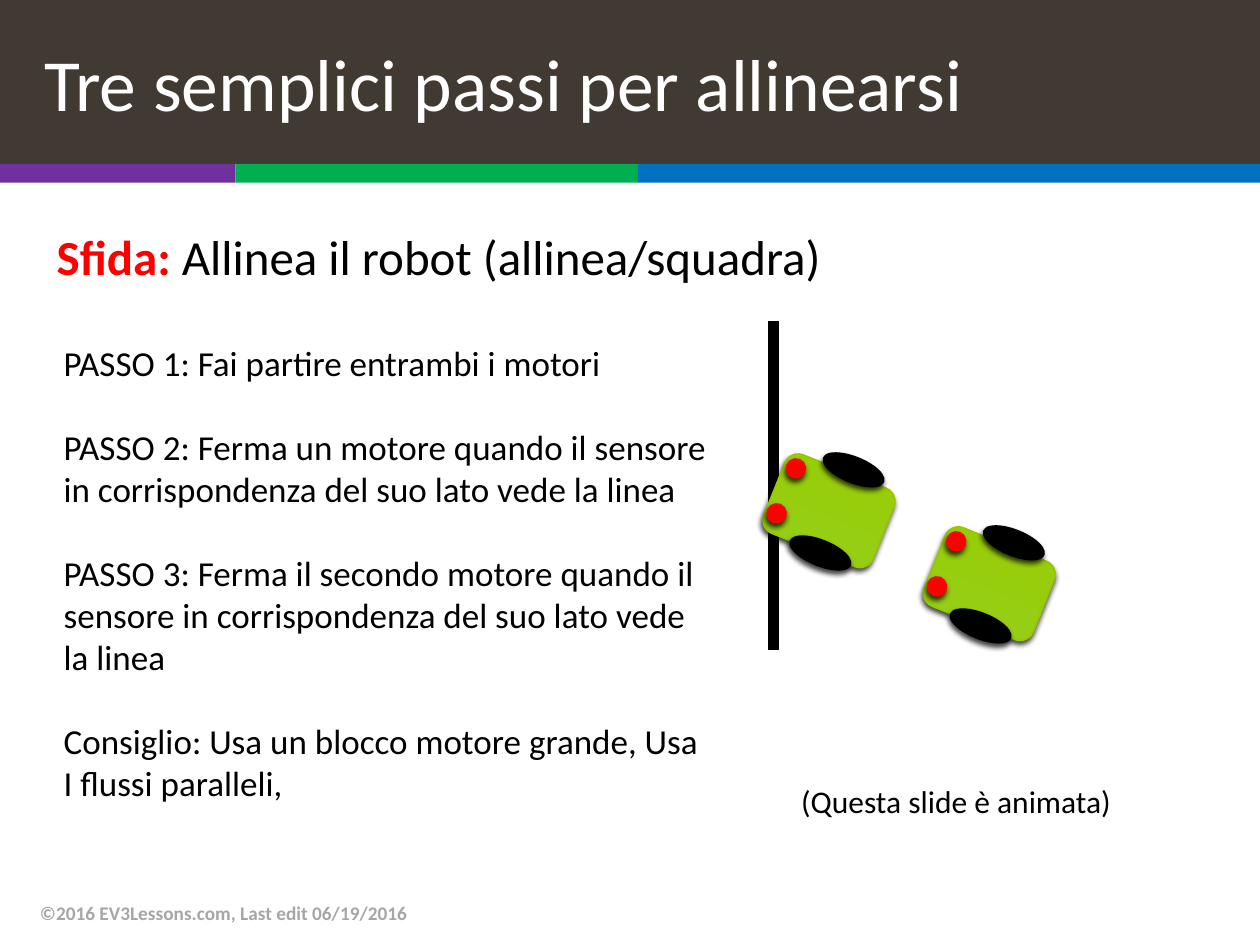
"""Build the slide on three easy steps for lining up a robot."""
from dataclasses import dataclass
from itertools import pairwise

from lxml.etree import SubElement as Sub
from pptx import Presentation
from pptx.dml.color import RGBColor as Rgb
from pptx.enum.shapes import MSO_CONNECTOR as Link, MSO_SHAPE as Form
from pptx.enum.text import MSO_ANCHOR as Anchor, MSO_AUTO_SIZE as Fit, PP_ALIGN as Align
from pptx.oxml.ns import qn
from pptx.util import Pt


@dataclass(frozen=True)
class Theme:
    font: str = "Calibri"
    dark: str = "413A33"
    white: str = "FFFFFF"
    black: str = "000000"
    red: str = "FF0000"
    gray: str = "A6A6A6"
    lime: str = "99CC00"
    leaf: str = "93CF1E"
    edge: str = "96C800"
    bands: tuple[str, ...] = ("7030A0", "00B050", "0070C0")
    title: int = 42
    lead: int = 28
    step: int = 20
    note: int = 18
    foot: int = 11


@dataclass(frozen=True)
class Box:
    left: float
    top: float
    width: float
    height: float

    def shift(self, x: float, y: float) -> "Box":
        return Box(self.left + x, self.top + y, self.width, self.height)

    def points(self) -> list[Pt]:
        return [Pt(n) for n in (self.left, self.top, self.width, self.height)]


@dataclass(frozen=True)
class Part:
    form: Form
    box: Box
    fill: str
    line: str
    fade: str | None = None


THEME = Theme()
TILT = 21.9
WHEEL = Box(0, 0, 36.7, 14.4)
SENSOR = Box(0, 0, 10.8, 10.8)
ROBOT = (
    Part(Form.ROUNDED_RECTANGLE, Box(1.8, 6.5, 67, 48.2), THEME.lime, THEME.edge, THEME.leaf),
    Part(Form.OVAL, WHEEL.shift(31, 0), THEME.black, THEME.black),
    Part(Form.OVAL, WHEEL.shift(12, 47.5), THEME.black, THEME.black),
    Part(Form.OVAL, SENSOR.shift(11, 1), THEME.red, THEME.red),
    Part(Form.OVAL, SENSOR.shift(0, 26.7), THEME.red, THEME.red),
)
STARTS = ((530, 303), (438.4, 261.3))
STEPS = (
    "PASSO 1: Fai partire entrambi i motori",
    "PASSO 2: Ferma un motore quando il sensore in corrispondenza del suo lato vede la linea",
    "PASSO 3: Ferma il secondo motore quando il sensore in corrispondenza del suo lato vede la linea",
    "Consiglio: Usa un blocco motore grande, Usa I flussi paralleli,",
)


def place(shape, box: Box) -> None:
    shape.left, shape.top, shape.width, shape.height = box.points()


def write(par, text: str, *, size: int, color: str = THEME.black, bold: bool = False) -> None:
    run = par.add_run()
    run.text = text
    font = run.font
    font.name, font.size, font.bold = THEME.font, Pt(size), bold
    font.color.rgb = Rgb.from_string(color)


def frame(shape, anchor: Anchor = Anchor.TOP):
    text = shape.text_frame
    text.word_wrap, text.auto_size = True, Fit.NONE
    text.vertical_anchor = anchor
    return text


def note(slide, box: Box, lines: tuple[str, ...], anchor: Anchor = Anchor.TOP, gap: float = 0, **style) -> None:
    text = frame(slide.shapes.add_textbox(*box.points()), anchor)
    for i, line in enumerate(lines):
        par = text.add_paragraph() if i else text.paragraphs[0]
        par.space_before = Pt(gap if i else 0)
        write(par, line, **style)


def paint(shape, color: str) -> None:
    shape.fill.solid()
    shape.fill.fore_color.rgb = Rgb.from_string(color)


def shade(shape) -> None:
    shape.shadow.inherit = False
    effects = shape._element.spPr.find(qn("a:effectLst"))
    outer = Sub(effects, qn("a:outerShdw"), blurRad=str(Pt(3)), dist=str(Pt(2)),
                dir=str(110 * 60000), algn="ctr", rotWithShape="0")
    color = Sub(outer, qn("a:srgbClr"), val=THEME.black)
    Sub(color, qn("a:alpha"), val="75000")


def robot(slide, x: float, y: float) -> None:
    group = slide.shapes.add_group_shape()
    for part in ROBOT:
        shape = group.shapes.add_shape(part.form, *part.box.shift(x, y).points())
        shape.rotation = TILT
        if part.fade:
            shape.fill.gradient()
            shape.fill.gradient_angle = 90
            for stop, color in zip(shape.fill.gradient_stops, (part.fade, part.fill)):
                stop.color.rgb = Rgb.from_string(color)
        else:
            paint(shape, part.fill)
        shape.line.color.rgb = Rgb.from_string(part.line)
        shape.line.width = Pt(1)
        shade(shape)


def bands(slide) -> None:
    for (left, right), color in zip(pairwise((0, 134.5, 364.5, 720)), THEME.bands):
        band = slide.shapes.add_shape(Form.RECTANGLE, *Box(left, 93.6, right - left, 10.8).points())
        paint(band, color)
        band.line.fill.background()
        band.shadow.inherit = False


def head(slide) -> None:
    title = slide.shapes.title
    place(title, Box(0, 0, 720, 93.6))
    paint(title, THEME.dark)
    text = frame(title, Anchor.MIDDLE)
    text.margin_left = Pt(25.2)
    par = text.paragraphs[0]
    par.alignment = Align.LEFT
    write(par, "Tre semplici passi per allinearsi", size=THEME.title, color=THEME.white)


def lead(slide) -> None:
    body = slide.placeholders[1]
    place(body, Box(25.2, 126, 678, 63.4))
    par = frame(body).paragraphs[0]
    par.space_before = Pt(0)
    props = par._p.get_or_add_pPr()
    props.set("marL", "0")
    props.set("indent", "0")
    Sub(props, qn("a:buNone"))
    write(par, "Sfida: ", size=THEME.lead, color=THEME.red, bold=True)
    write(par, "Allinea il robot (allinea/squadra)", size=THEME.lead)


def track(slide) -> None:
    line = slide.shapes.add_connector(Link.STRAIGHT, Pt(442), Pt(371.5), Pt(442), Pt(183.6))
    line.line.color.rgb = Rgb.from_string(THEME.black)
    line.line.width = Pt(6)
    Sub(line._element.spPr, qn("a:effectLst"))


def main() -> None:
    deck = Presentation()
    deck.slide_width, deck.slide_height = Pt(720), Pt(540)
    slide = deck.slides.add_slide(deck.slide_layouts[1])
    bands(slide)
    head(slide)
    lead(slide)
    note(slide, Box(15.8, 507, 482, 28.8), ("©2016 EV3Lessons.com, Last edit 06/19/2016",),
         Anchor.MIDDLE, size=THEME.foot, color=THEME.gray, bold=True)
    track(slide)
    for x, y in STARTS:
        robot(slide, x, y)
    note(slide, Box(29.3, 191.5, 381.6, 298), STEPS, gap=24, size=THEME.step)
    note(slide, Box(450.7, 443.5, 214.6, 28.8), ("(Questa slide è animata)",), size=THEME.note)
    deck.save("out.pptx")


if __name__ == "__main__":
    main()
